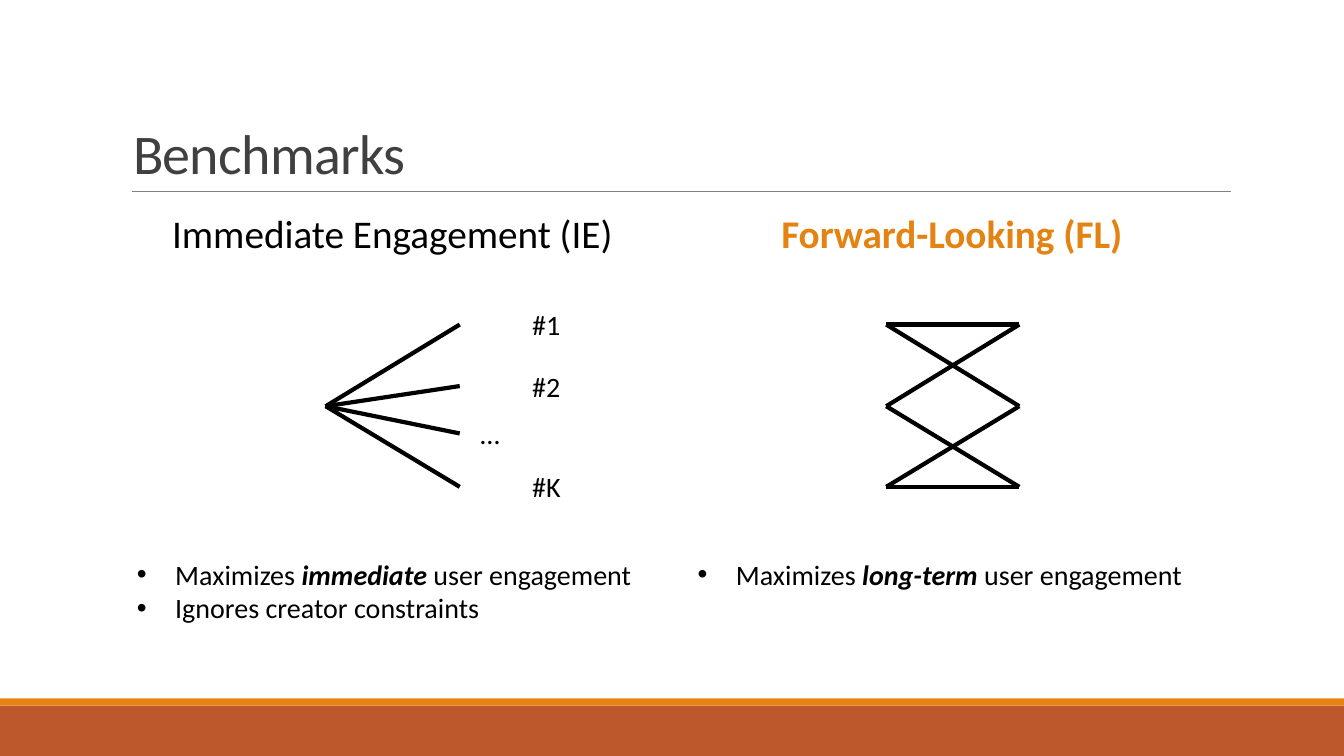
from lxml import etree
from pptx import Presentation
from pptx import util as u
from pptx.dml.color import RGBColor
from pptx.enum import shapes, text
from pptx.oxml.ns import qn

COLORS = {"black": "000000", "title": "404040", "rule": "808080",
          "orange": "E48312", "rust": "BD582C"}
CENTER = text.PP_ALIGN.CENTER

presentation = Presentation()
presentation.slide_width = u.Inches(13.33)
presentation.slide_height = u.Inches(7.5)
slide = presentation.slides.add_slide(presentation.slide_layouts[5])


def write_text(shape, paragraphs, size=20, color="black", bold=False,
               align=text.PP_ALIGN.LEFT, anchor=text.MSO_ANCHOR.TOP, bullet=False):
    """Fill a shape; each paragraph is a list of runs, every second run bold italic."""
    frame = shape.text_frame
    frame.word_wrap = True
    frame.auto_size = text.MSO_AUTO_SIZE.NONE
    frame.vertical_anchor = anchor
    for index, runs in enumerate(paragraphs):
        paragraph = frame.add_paragraph() if index else frame.paragraphs[0]
        paragraph.alignment = align
        if bullet:
            properties = paragraph._p.get_or_add_pPr()
            properties.set("marL", str(u.Inches(0.38)))
            properties.set("indent", str(u.Inches(-0.38)))
            etree.SubElement(properties, qn("a:buFont")).set("typeface", "Arial")
            etree.SubElement(properties, qn("a:buChar")).set("char", "•")
        for position, words in enumerate(runs):
            run = paragraph.add_run()
            run.text = words
            emphasis = position % 2 == 1
            run.font.name = "Calibri"
            run.font.size = u.Pt(size)
            run.font.bold = bold or emphasis
            run.font.italic = emphasis
            run.font.color.rgb = RGBColor.from_string(COLORS[color])


def add_line(x1, y1, x2, y2, color="black", width=3):
    line = slide.shapes.add_connector(shapes.MSO_CONNECTOR.STRAIGHT, u.Inches(x1),
                                      u.Inches(y1), u.Inches(x2), u.Inches(y2))
    line.line.color.rgb = RGBColor.from_string(COLORS[color])
    line.line.width = u.Pt(width)
    etree.SubElement(line._element.spPr, qn("a:effectLst"))


# Footer bands and title
for top, height, color in [(7, 0.5, "rust"), (6.93, 0.07, "orange")]:
    band = slide.shapes.add_shape(shapes.MSO_SHAPE.RECTANGLE, 0, u.Inches(top),
                                  presentation.slide_width, u.Inches(height))
    band.shadow.inherit = False
    band.fill.solid()
    band.fill.fore_color.rgb = RGBColor.from_string(COLORS[color])
    band.line.fill.background()
add_line(1.31, 1.9, 12.21, 1.9, color="rule", width=0.5)

title = slide.shapes.title
title.left, title.top = u.Inches(1.22), u.Inches(0.6)
title.width, title.height = u.Inches(11.12), u.Inches(1.29)
write_text(title, [["Benchmarks"]], size=40, color="title", anchor=text.MSO_ANCHOR.BOTTOM)
title_paragraph = title.text_frame.paragraphs[0]
title_paragraph.line_spacing = 0.85
title_paragraph.runs[0].font._element.set("spc", "-50")

# Headings, rank labels and bullet lists
heading = {"size": 28, "align": CENTER}
text_boxes = [
    (1.42, 2.03, 4.94, 0.57, [["Immediate Engagement (IE)"]], heading),
    (6.97, 2.03, 4.94, 0.57, [["Forward-Looking (FL)"]],
     {**heading, "color": "orange", "bold": True}),
    (5.18, 3, 0.62, 0.44, [["#1"]], {}),
    (5.18, 3.62, 0.62, 0.44, [["#2"]], {}),
    (4.55, 4.08, 0.62, 0.44, [["…"]], {"align": CENTER}),
    (5.18, 4.61, 0.62, 0.44, [["#K"]], {}),
    (1.26, 5.48, 5.26, 0.77, [["Maximizes ", "immediate", " user engagement"],
                              ["Ignores creator constraints"]], {"bullet": True}),
    (6.82, 5.48, 5.26, 0.44, [["Maximizes ", "long-term", " user engagement"]],
     {"bullet": True}),
]
for left, top, width, height, paragraphs, style in text_boxes:
    box = slide.shapes.add_textbox(u.Inches(left), u.Inches(top),
                                   u.Inches(width), u.Inches(height))
    write_text(box, paragraphs, **style)

# One user fanning out to ranked creators, and the two-sided user-creator graph
node_rows = [3.22, 4.03, 4.83]
for creator_y in [3.22, 3.83, 4.3, 4.83]:
    add_line(3.23, node_rows[1], 4.56, creator_y)
for user, creator in [(0, 0), (0, 1), (1, 0), (1, 2), (2, 1), (2, 2)]:
    add_line(8.79, node_rows[user], 10.11, node_rows[creator])

presentation.save("out.pptx")
